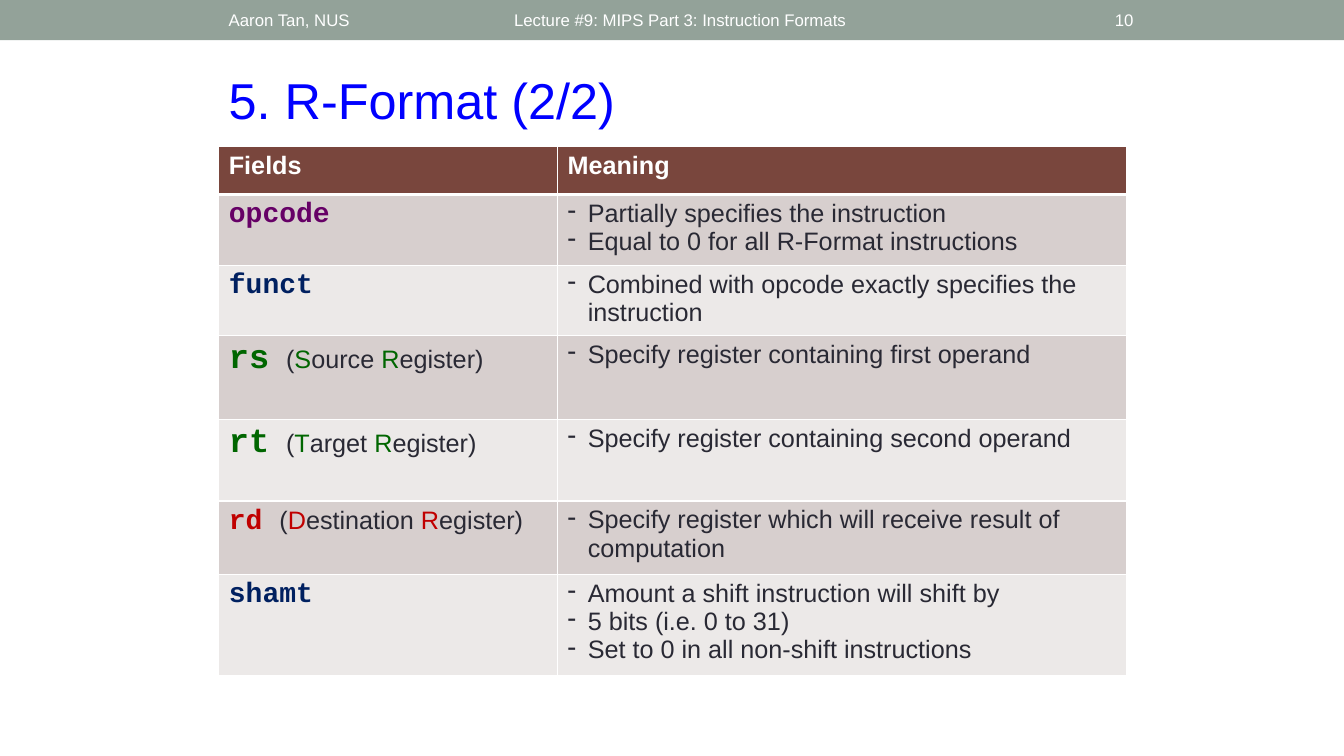
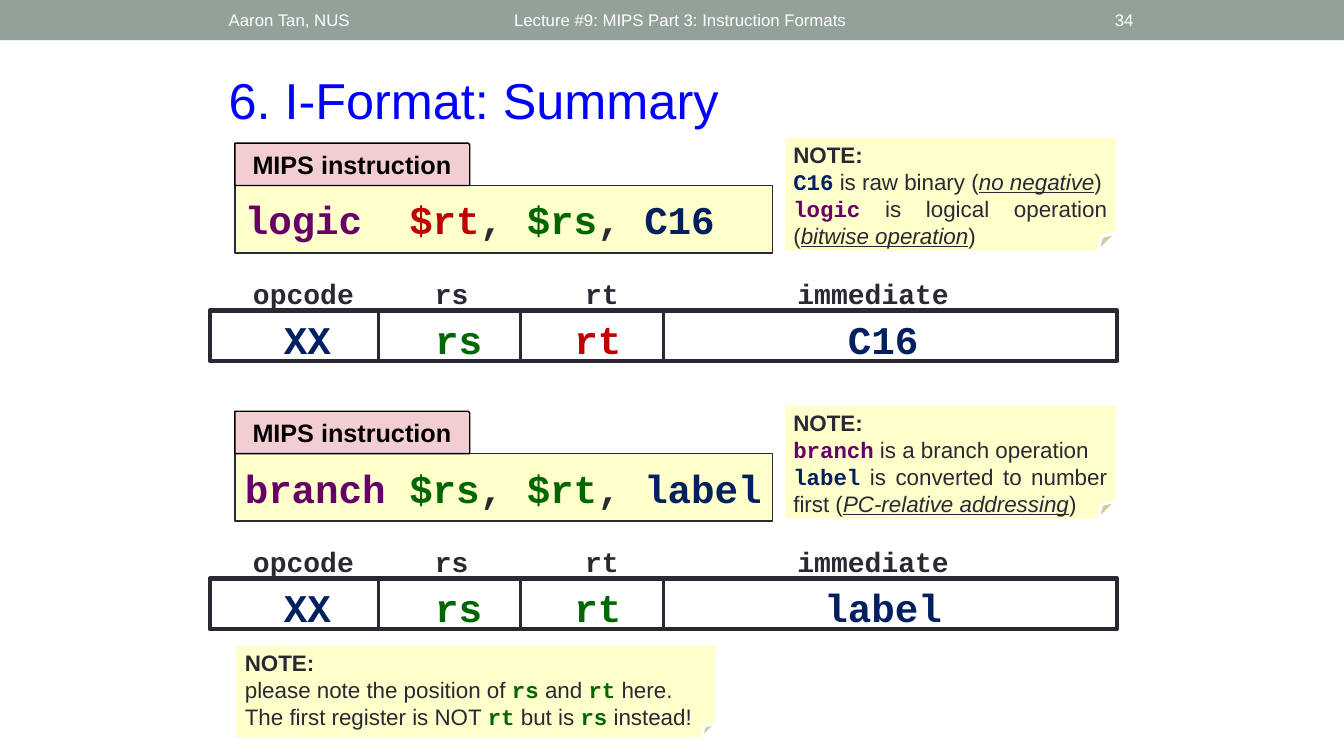
from lxml import etree
from pptx import Presentation
from pptx.dml.color import RGBColor
from pptx.enum.shapes import MSO_CONNECTOR as CONN, MSO_SHAPE as SHAPE
from pptx.enum.text import MSO_ANCHOR as ANCHOR, MSO_AUTO_SIZE as FIT, PP_ALIGN as ALIGN
from pptx.oxml import parse_xml
from pptx.oxml.ns import nsdecls, qn
from pptx.util import Inches, Pt

COLORS = {
    "white": "FFFFFF", "black": "000000", "ink": "292934", "band": "93A299",
    "title": "0000FF", "purple": "660066", "navy": "002060", "green": "006600",
    "red": "C00000", "head": "79463D", "odd": "D7CFCE", "even": "ECE9E8",
    "paper": "FFFFCC", "pink": "F2CED2",
}
SANS, MONO = "Arial", "Courier New"


def rgb(name):
    return RGBColor.from_string(COLORS[name])


def code(text, color, **fmt):
    return text, dict(font=MONO, bold=True, color=color, **fmt)


def tint(text, color):
    return text, dict(color=color)


def stress(text):
    return text, dict(italic=True, underline=True)


def write(p, text, size=18, color="ink", font=SANS, bold=False, italic=False, underline=False):
    r = p.add_run()
    r.text = text
    f = r.font
    f.size, f.name, f.bold, f.italic, f.underline = Pt(size), font, bold, italic, underline
    f.color.rgb = rgb(color)


def write_runs(p, runs, size):
    for item in runs:
        text, fmt = (item, {}) if isinstance(item, str) else item
        write(p, text, **{"size": size, **fmt})


def next_paragraph(tf, i):
    return tf.add_paragraph() if i else tf.paragraphs[0]


def add_text(s, at, text, align=ALIGN.LEFT, anchor=ANCHOR.TOP, wrap=True, **fmt):
    tf = s.shapes.add_textbox(*map(Inches, at)).text_frame
    tf.word_wrap = wrap
    tf.vertical_anchor = anchor
    if not wrap:
        tf.auto_size = FIT.SHAPE_TO_FIT_TEXT
    p = tf.paragraphs[0]
    p.alignment = align
    write(p, text, **fmt)


def add_box(s, at, fill=None, line=None, width=1, kind=SHAPE.RECTANGLE):
    sp = s.shapes.add_shape(kind, *map(Inches, at))
    sp.shadow.inherit = False
    if fill:
        sp.fill.solid()
        sp.fill.fore_color.rgb = rgb(fill)
    else:
        sp.fill.background()
    if line:
        sp.line.color.rgb = rgb(line)
        sp.line.width = Pt(width)
    else:
        sp.line.fill.background()
    return sp


def add_divider(s, x, top, bottom):
    c = s.shapes.add_connector(CONN.STRAIGHT, *map(Inches, (x, top, x, bottom)))
    c.line.color.rgb = rgb("ink")
    c.line.width = Pt(2.25)
    etree.SubElement(c._element.spPr, qn("a:effectLst"))


def add_slide(prs, title, number):
    s = prs.slides.add_slide(prs.slide_layouts[6])
    add_box(s, (0, 0, 13.33, 0.4), "band")
    small = dict(size=12, color="white", anchor=ANCHOR.MIDDLE)
    add_text(s, (5, 0.02, 6, 0.36), "Lecture #9: MIPS Part 3: Instruction Formats", **small)
    add_text(s, (2.17, 0.02, 3.17, 0.36), "Aaron Tan, NUS", **small)
    add_text(s, (10.39, 0.02, 0.95, 0.36), str(number), align=ALIGN.RIGHT, **small)
    add_text(s, (2.17, 0.64, 9, 0.71), title, size=36, color="title")
    return s


def style_cell(cell, fill, top=1, bottom=1):
    cell.fill.solid()
    cell.fill.fore_color.rgb = rgb(fill)
    tc_pr = cell._tc.get_or_add_tcPr()
    for i, (side, width) in enumerate(zip("LRTB", (1, 1, top, bottom))):
        tc_pr.insert(i, parse_xml(
            f'<a:ln{side} {nsdecls("a")} w="{Pt(width)}"><a:solidFill>'
            f'<a:srgbClr val="{COLORS["white"]}"/></a:solidFill></a:ln{side}>'))


def set_dash(p):
    p_pr = p._p.get_or_add_pPr()
    p_pr.set("marL", str(Inches(0.2)))
    p_pr.set("indent", str(-Inches(0.2)))
    etree.SubElement(p_pr, qn("a:buChar")).set("char", "-")


def add_field_table(s, rows, heights):
    table = s.shapes.add_table(
        len(heights), 2, *map(Inches, (2.17, 1.45, 9, sum(heights)))).table
    table.first_row = table.horz_banding = False
    for col, width in zip(table.columns, (3.36, 5.64)):
        col.width = Inches(width)
    for row, height in zip(table.rows, heights):
        row.height = Inches(height)
    for cell, text in zip(table.rows[0].cells, ("Fields", "Meaning")):
        style_cell(cell, "head", bottom=3)
        write(cell.text_frame.paragraphs[0], text, color="white", bold=True)
    for i, (name, meanings) in enumerate(rows, 1):
        field, meaning = table.rows[i].cells
        for cell in (field, meaning):
            style_cell(cell, "odd" if i % 2 else "even", top=3 if i == 1 else 1)
        write_runs(field.text_frame.paragraphs[0], name, 18)
        for j, text in enumerate(meanings):
            p = next_paragraph(meaning.text_frame, j)
            set_dash(p)
            write(p, text)


def add_instruction(s, top, runs):
    sp = add_box(s, (2.33, top + 0.42, 5.33, 0.67), "paper", "ink")
    tf = sp.text_frame
    tf.word_wrap = True
    tf.margin_right = 0
    tf.vertical_anchor = ANCHOR.MIDDLE
    tf.paragraphs[0].alignment = ALIGN.LEFT
    write_runs(tf.paragraphs[0], runs, 28)
    tab = add_box(s, (2.33, top, 2.33, 0.42), "pink", "black", kind=SHAPE.SNIP_1_RECTANGLE)
    tab.adjustments[0] = 0.037
    tab.text_frame.vertical_anchor = ANCHOR.MIDDLE
    p = tab.text_frame.paragraphs[0]
    p.alignment = ALIGN.CENTER
    write(p, "MIPS instruction", color="black", bold=True)


def add_note(s, at, lines):
    tf = add_box(s, at, "paper", "white", 2.08, SHAPE.FOLDED_CORNER).text_frame
    tf.word_wrap = True
    tf.vertical_anchor = ANCHOR.TOP
    for i, runs in enumerate([[("NOTE:", dict(bold=True))], *lines]):
        p = next_paragraph(tf, i)
        p.alignment = ALIGN.JUSTIFY if i else ALIGN.LEFT
        write_runs(p, runs, 16)


def add_encoding(s, top, values):
    names = ("opcode", "rs", "rt", "immediate")
    name_centers = (3.01, 4.48, 5.97, 8.66)
    value_centers = (3.05, 4.55, 5.93, 8.76)
    mono = dict(font=MONO, bold=True, align=ALIGN.CENTER, wrap=False)
    for (text, color), x in zip(values, value_centers):
        add_text(s, (x - 0.7, top, 1.4, 0.57), text, size=28, color=color, **mono)
    add_box(s, (2.08, top, 9, 0.5), line="ink", width=3)
    for x in (3.75, 5.16, 6.58):
        add_divider(s, x, top, top + 0.5)
    for text, x in zip(names, name_centers):
        add_text(s, (x - 0.86, top - 0.39, 1.72, 0.43), text, size=20, **mono)


def register(name, color, size, initial, rest):
    return [code(name, color, size=size), code(" ", color, size=20), "(",
            tint(initial, color), rest + " ", tint("R", color), "egister)"]


def build_r_format(prs):
    s = add_slide(prs, "5. R-Format (2/2)", 10)
    rows = [
        ([code("opcode", "purple", size=20)],
         ["Partially specifies the instruction", "Equal to 0 for all R-Format instructions"]),
        ([code("funct", "navy", size=20)],
         ["Combined with opcode exactly specifies the instruction"]),
        (register("rs", "green", 24, "S", "ource"),
         ["Specify register containing first operand"]),
        (register("rt", "green", 24, "T", "arget"),
         ["Specify register containing second operand"]),
        (register("rd", "red", 20, "D", "estination"),
         ["Specify register which will receive result of computation"]),
        ([code("shamt", "navy", size=20)],
         ["Amount a shift instruction will shift by", "5 bits (i.e. 0 to 31)",
          "Set to 0 in all non-shift instructions"]),
    ]
    add_field_table(s, rows, (0.48, 0.7, 0.7, 0.83, 0.81, 0.73, 0.99))


def build_i_format(prs):
    s = add_slide(prs, "6. I-Format: Summary", 34)
    rs, rt = code("rs", "green"), code("rt", "green")
    comma = code(", ", "ink")
    forms = [
        ([code("logic  ", "purple"), code("$rt", "red"), comma,
          code("$rs", "green"), comma, code("C16", "navy")],
         [[code("C16", "navy"), " is raw binary (", stress("no negative"), ")"],
          [code("logic", "purple"), " is logical operation (",
           stress("bitwise operation"), ")"]],
         [("XX", "navy"), ("rs", "green"), ("rt", "red"), ("C16", "navy")]),
        ([code("branch ", "purple"), code("$rs", "green"), comma,
          code("$rt", "green"), comma, code("label", "navy")],
         [[code("branch", "purple"), " is a branch operation"],
          [code("label", "navy"), " is converted to number first (",
           stress("PC-relative addressing"), ")"]],
         [("XX", "navy"), ("rs", "green"), ("rt", "green"), ("label", "navy")]),
    ]
    for i, (instruction, note, values) in enumerate(forms):
        top = 1.42 + 2.66 * i
        add_instruction(s, top, instruction)
        add_note(s, (7.77, top - 0.07, 3.31, 1.15), note)
        add_encoding(s, top + 1.66, values)
    add_note(s, (2.33, 6.39, 4.78, 0.94), [
        ["please note the position of ", rs, " and ", rt, " here."],
        ["The first register is NOT ", rt, " but is ", rs, " instead!"],
    ])


def main():
    prs = Presentation()
    prs.slide_width, prs.slide_height = Inches(13.33), Inches(7.5)
    build_r_format(prs)
    build_i_format(prs)
    prs.save("out.pptx")


if __name__ == "__main__":
    main()
